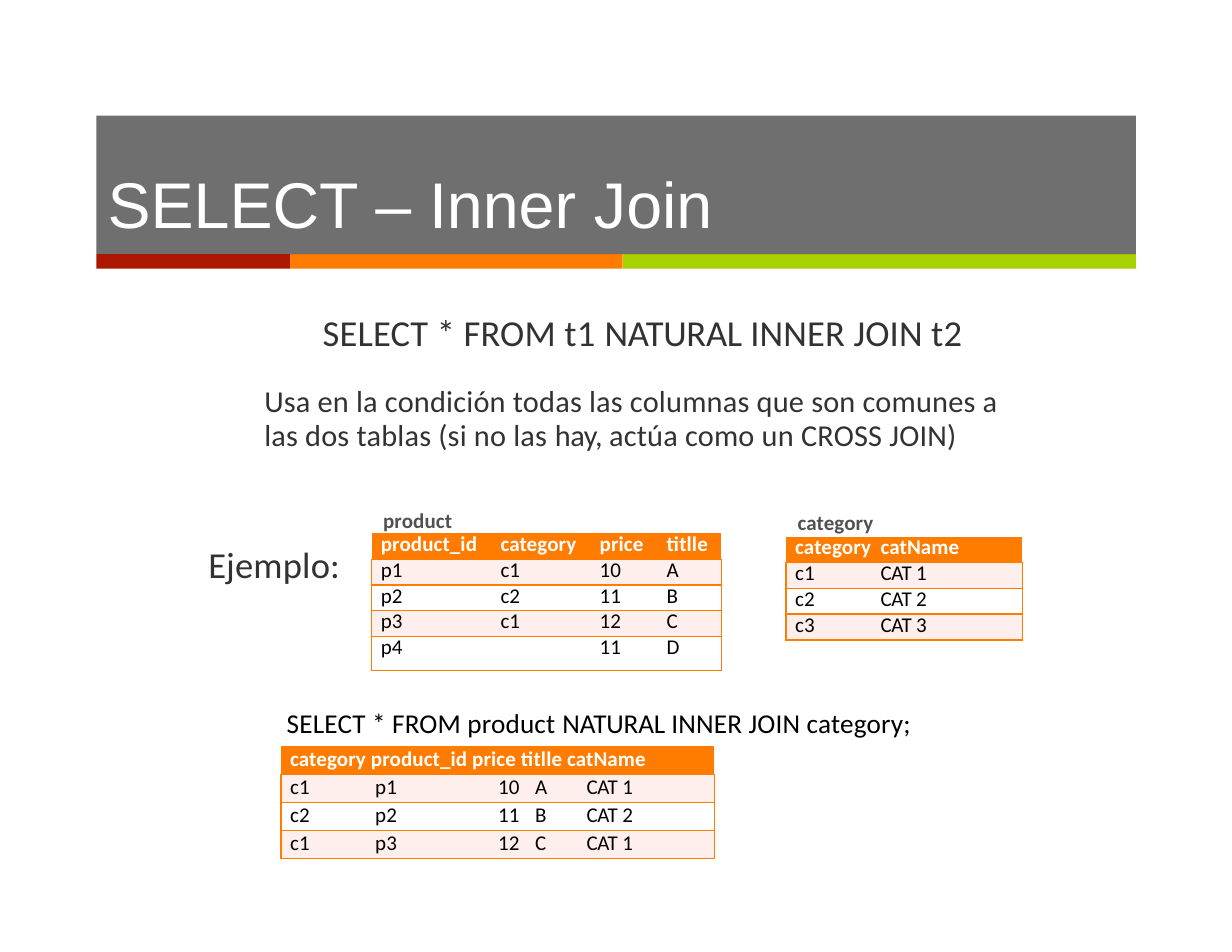
from dataclasses import dataclass
from typing import NamedTuple, Optional

from lxml.etree import SubElement
from pptx import Presentation
from pptx.dml.color import RGBColor
from pptx.enum.shapes import MSO_SHAPE
from pptx.enum.text import MSO_ANCHOR, PP_ALIGN
from pptx.oxml.ns import qn
from pptx.util import Pt


@dataclass(frozen=True)
class Theme:
    dark: str = "323232"
    red: str = "AB1700"
    orange: str = "FF7C00"
    green: str = "A8D200"
    pale: str = "FFEFEC"
    label: str = "515151"
    white: str = "FFFFFF"
    black: str = "000000"
    head: str = "Arial"
    body: str = "Calibri"
    title: float = 41.5
    lead: float = 23.5
    text: float = 19.5
    query: float = 17.5
    small: float = 13.5


class Span(NamedTuple):
    text: str
    gap: float = 0.1


class Style(NamedTuple):
    size: float
    color: str
    bold: bool = False
    font: str = "Calibri"


class Para(NamedTuple):
    spans: list[Span]
    style: Style
    indent: float = 0.7
    before: float = 1.3
    line: Optional[float] = None
    right: bool = False


class Box(NamedTuple):
    left: float
    top: float
    width: float
    height: float


class Grid(NamedTuple):
    left: float
    top: float
    widths: list[float]
    height: float
    indents: list[float]
    rows: list[list[str]]
    line: Optional[float] = None
    merged: bool = False
    right: int = -1


theme = Theme()
deck = Presentation()
deck.slide_width, deck.slide_height = Pt(792), Pt(612)
slide = deck.slides.add_slide(deck.slide_layouts[6])


def write(frame, paras: list[Para]) -> None:
    for at, item in enumerate(paras):
        para = frame.add_paragraph() if at else frame.paragraphs[0]
        para.alignment = PP_ALIGN.RIGHT if item.right else PP_ALIGN.LEFT
        para.space_before = Pt(item.before)
        if item.line:
            para.line_spacing = Pt(item.line)
        props = para._p.get_or_add_pPr()
        props.set("marL", str(Pt(item.indent)))
        props.set("indent", "0")
        for span in item.spans:
            run = para.add_run()
            run.text = span.text
            font = run.font
            font.name, font.size = item.style.font, Pt(item.style.size)
            font.bold = item.style.bold
            font.color.rgb = RGBColor.from_string(item.style.color)
            run._r.get_or_add_rPr().set("spc", str(round(span.gap * 100)))


def inset(frame, top: float) -> None:
    frame.word_wrap = True
    frame.vertical_anchor = MSO_ANCHOR.TOP
    frame.margin_left = frame.margin_right = frame.margin_bottom = Pt(0)
    frame.margin_top = Pt(top)


def block(box: Box, color: str):
    shape = slide.shapes.add_shape(MSO_SHAPE.RECTANGLE, *map(Pt, box))
    shape.shadow.inherit = False
    shape.fill.solid()
    shape.fill.fore_color.rgb = RGBColor.from_string(color)
    shape.line.fill.background()
    return shape


def note(box: Box, *paras: Para) -> None:
    frame = slide.shapes.add_textbox(*map(Pt, box)).text_frame
    inset(frame, 1.4)
    write(frame, list(paras))


def border(cell, sides: str) -> None:
    props = cell._tc.get_or_add_tcPr()
    for at, side in enumerate("LRTB"):
        line = SubElement(props, qn(f"a:ln{side}"), w=str(Pt(1)))
        props.remove(line)
        if side in sides:
            fill = SubElement(line, qn("a:solidFill"))
            SubElement(fill, qn("a:srgbClr"), val=theme.orange)
        else:
            SubElement(line, qn("a:noFill"))
        props.insert(at, line)


def split(text: str) -> list[Span]:
    if text.startswith("CAT "):
        return [Span("CAT ", -0.2), Span(text[4:])]
    return [Span(text)] if text else []


def draw(grid: Grid) -> None:
    count, last = len(grid.rows), len(grid.widths) - 1
    table = slide.shapes.add_table(
        count, last + 1, Pt(grid.left), Pt(grid.top),
        Pt(sum(grid.widths)), Pt(grid.height * count)).table
    table.first_row = table.horz_banding = False
    for col, width in zip(table.columns, grid.widths):
        col.width = Pt(width)
    for r, row in enumerate(grid.rows):
        table.rows[r].height = Pt(grid.height)
        style = Style(theme.small, theme.black if r else theme.white, not r)
        for c in range(last + 1):
            cell = table.cell(r, c)
            inset(cell, 0)
            if r and r % 2 == 0:
                cell.fill.background()
            else:
                cell.fill.solid()
                color = theme.pale if r else theme.orange
                cell.fill.fore_color.rgb = RGBColor.from_string(color)
            edge = ("L" if c == 0 else "") + ("R" if c == last else "")
            border(cell, "TB" + edge if r else "")
            if c < len(row):
                write(cell.text_frame, [Para(
                    split(row[c]), style, grid.indents[c], 0.3, grid.line,
                    bool(r) and c == grid.right)])
    if grid.merged:
        table.cell(0, 0).merge(table.cell(0, last))


# Title band and colour bars
left = 62
for width, color in ((124.6, theme.red), (213.8, theme.orange), (329.8, theme.green)):
    block(Box(left, 163.4, width, 9.4), color)
    left += width
band = block(Box(62, 74.4, 668.2, 89), theme.dark)
tint = band._element.spPr.find(qn("a:solidFill")).find(qn("a:srgbClr"))
SubElement(tint, qn("a:alpha"), val="70000")
inset(band.text_frame, 31)
write(band.text_frame, [Para([Span("SELECT – Inner Join", 0)],
                             Style(theme.title, theme.white, font=theme.head), 7.2, 0)])

# Syntax and explanation
lead = Style(theme.lead, theme.dark)
note(Box(169.2, 198, 499, 93.6),
     Para([Span("SELECT * FROM t1 "), Span("NATURAL ", -0.2), Span("INNER JOIN t2")],
          lead, 38.2),
     Para([Span("Usa en la condición todas las columnas que son comunes a las "
                "dos tablas (si no las "), Span("hay, ", -0.3),
           Span("actúa como un CROSS JOIN)")],
          Style(theme.text, theme.dark), before=19.8, line=21.8))
note(Box(133.2, 347, 86.4, 30.2), Para([Span("Ejemplo:")], lead))

# Source tables
draw(Grid(239, 342.9, [75.6, 63.8, 43, 42.5], 16.6, [5.8, 7.2, 7.2, 7.2], [
    ["product_id", "category", "price", "titlle"],
    ["p1", "c1", "10", "A"],
    ["p2", "c2", "11", "B"],
    ["p3", "c1", "12", "C"],
    ["p4", "", "11", "D"]], line=15.2))
draw(Grid(505.4, 345, [57.8, 94], 16.6, [5.8, 2.9], [
    ["category", "catName"],
    ["c1", "CAT 1"], ["c2", "CAT 2"], ["c3", "CAT 3"]], line=15.2))
label = Style(theme.small, theme.label, True)
note(Box(245.5, 324.7, 46.8, 18.7),
     Para([Span("p"), Span("r", -0.1), Span("oduct")], label))
note(Box(512, 326.2, 51.8, 18.7), Para([Span("category")], label))

# Query and its result
draw(Grid(180.7, 479.7, [39.6, 62.6, 51.1, 31, 94.3], 18, [5.8, 20.9, 0, 10.1, 12.2], [
    ["category product_id price titlle catName"],
    ["c1", "p1", "10", "A", "CAT 1"],
    ["c2", "p2", "11", "B", "CAT 2"],
    ["c1", "p3", "12", "C", "CAT 1"]], merged=True, right=2))
note(Box(183.6, 452.9, 406, 23.8),
     Para([Span("SELECT * FROM product "), Span("NATURAL ", -0.1),
           Span("INNER JOIN category;")], Style(theme.query, theme.black)))

deck.save("out.pptx")
